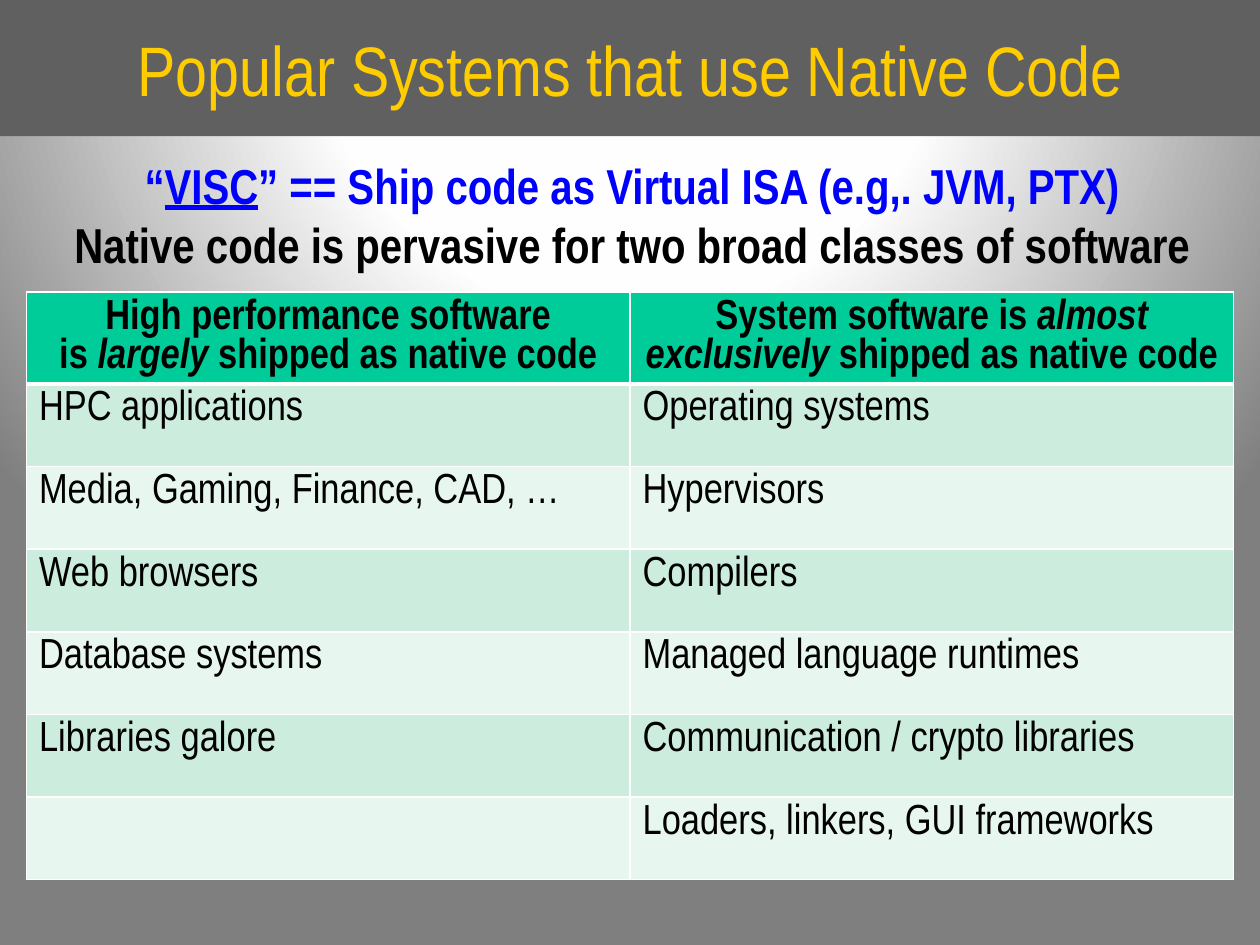
from dataclasses import dataclass

from lxml.etree import SubElement
from pptx import Presentation
from pptx.dml.color import RGBColor
from pptx.enum.text import MSO_ANCHOR, PP_ALIGN
from pptx.oxml import parse_xml
from pptx.oxml.ns import nsdecls, qn
from pptx.util import Pt


@dataclass(frozen=True)
class Theme:
    font: str = "Arial Narrow"
    title_size: int = 40
    lead_size: int = 28
    cell_size: int = 24
    title: str = "FFCC00"
    title_band: str = "606060"
    accent: str = "0000FF"
    text: str = "000000"
    header: str = "00CC99"
    bands: tuple = ("CCECDE", "E7F6EF")
    border: str = "FFFFFF"
    backdrop: tuple = ((0, "FFFFFF"), (40, "FEFEFE"), (100, "7F7F7F"))


THEME = Theme()

TITLE = "Popular Systems that use Native Code"
# Paragraphs are lists of (text, emphasised) runs
LEAD = [
    ([("“", False), ("VISC", True),
      ("” == Ship code as Virtual ISA (e.g,. JVM, PTX)", False)], THEME.accent),
    ([("Native code is pervasive for two broad classes of software", False)], THEME.text),
]
HEADERS = [
    [[("High performance software", False)],
     [("is ", False), ("largely", True), (" shipped as native code", False)]],
    [[("System software is ", False), ("almost", True)],
     [("exclusively", True), (" shipped as native code", False)]],
]
ROWS = [
    ("HPC applications", "Operating systems"),
    ("Media, Gaming, Finance, CAD, …", "Hypervisors"),
    ("Web browsers", "Compilers"),
    ("Database systems", "Managed language runtimes"),
    ("Libraries galore", "Communication / crypto libraries"),
    ("", "Loaders, linkers, GUI frameworks"),
]


def style(paragraph, size, color, bold=False, align=PP_ALIGN.LEFT):
    paragraph.alignment = align
    font = paragraph.font
    font.name, font.size, font.bold = THEME.font, Pt(size), bold
    font.color.rgb = RGBColor.from_string(color)


def paragraph_at(frame, index):
    return frame.paragraphs[0] if index == 0 else frame.add_paragraph()


def paint_background(slide):
    fill = slide.background.fill
    fill.solid()
    stops = "".join(
        f'<a:gs pos="{pos * 1000}"><a:srgbClr val="{color}"/></a:gs>'
        for pos, color in THEME.backdrop)
    gradient = parse_xml(
        f'<a:gradFill {nsdecls("a")} rotWithShape="1"><a:gsLst>{stops}</a:gsLst>'
        '<a:path path="circle"><a:fillToRect l="50000" t="-80000" r="50000" b="180000"/>'
        '</a:path></a:gradFill>')
    solid = slide.background._cSld.find(".//" + qn("a:solidFill"))
    solid.getparent().replace(solid, gradient)


def add_title(slide, left, top, width, height):
    title = slide.shapes.title
    title.left, title.top, title.width, title.height = map(Pt, (left, top, width, height))
    title.fill.solid()
    title.fill.fore_color.rgb = RGBColor.from_string(THEME.title_band)
    frame = title.text_frame
    frame.text = TITLE
    frame.vertical_anchor = MSO_ANCHOR.MIDDLE
    style(frame.paragraphs[0], THEME.title_size, THEME.title, align=PP_ALIGN.CENTER)


def add_lead(slide, left, top, width, height):
    frame = slide.shapes.add_textbox(*map(Pt, (left, top, width, height))).text_frame
    frame.word_wrap = False
    for index, (runs, color) in enumerate(LEAD):
        paragraph = paragraph_at(frame, index)
        style(paragraph, THEME.lead_size, color, bold=True, align=PP_ALIGN.CENTER)
        for text, underlined in runs:
            run = paragraph.add_run()
            run.text = text
            if underlined:
                run.font.underline = True


def set_borders(cell, top=1, bottom=1):
    properties = cell._tc.get_or_add_tcPr()
    widths = {"a:lnL": 1, "a:lnR": 1, "a:lnT": top, "a:lnB": bottom}
    for side, width in widths.items():
        line = SubElement(properties, qn(side), w=str(Pt(width)))
        SubElement(SubElement(line, qn("a:solidFill")), qn("a:srgbClr"), val=THEME.border)


def fill_cell(cell, paragraphs, color, header=False, first_body=False):
    # Borders come before the fill in the cell properties
    set_borders(cell, top=3 if first_body else 1, bottom=3 if header else 1)
    cell.fill.solid()
    cell.fill.fore_color.rgb = RGBColor.from_string(color)
    for index, runs in enumerate(paragraphs):
        paragraph = paragraph_at(cell.text_frame, index)
        style(paragraph, THEME.cell_size, THEME.text, bold=header,
              align=PP_ALIGN.CENTER if header else PP_ALIGN.LEFT)
        for text, italic in runs:
            run = paragraph.add_run()
            run.text = text
            if italic:
                run.font.italic = True


def add_software_table(slide, left, top, width, height, header_height):
    table = slide.shapes.add_table(
        len(ROWS) + 1, len(HEADERS), *map(Pt, (left, top, width, height))).table
    for column in table.columns:
        column.width = Pt(width / len(HEADERS))
    row_height = (height - header_height) / len(ROWS)
    for index, row in enumerate(table.rows):
        row.height = Pt(row_height if index else header_height)

    for column, paragraphs in enumerate(HEADERS):
        fill_cell(table.cell(0, column), paragraphs, THEME.header, header=True)
    for index, row in enumerate(ROWS):
        for column, text in enumerate(row):
            runs = [(text, False)] if text else []
            fill_cell(table.cell(index + 1, column), [runs],
                      THEME.bands[index % 2], first_body=index == 0)


def main():
    deck = Presentation()
    deck.slide_width, deck.slide_height = Pt(720), Pt(540)
    slide = deck.slides.add_slide(deck.slide_layouts[5])
    paint_background(slide)
    add_title(slide, 0, 0, 720, 77.8)
    add_software_table(slide, 15.1, 167, 689.8, 335.4, header_height=52)
    add_lead(slide, 32, 85.5, 658, 75)
    deck.save("out.pptx")


if __name__ == "__main__":
    main()
